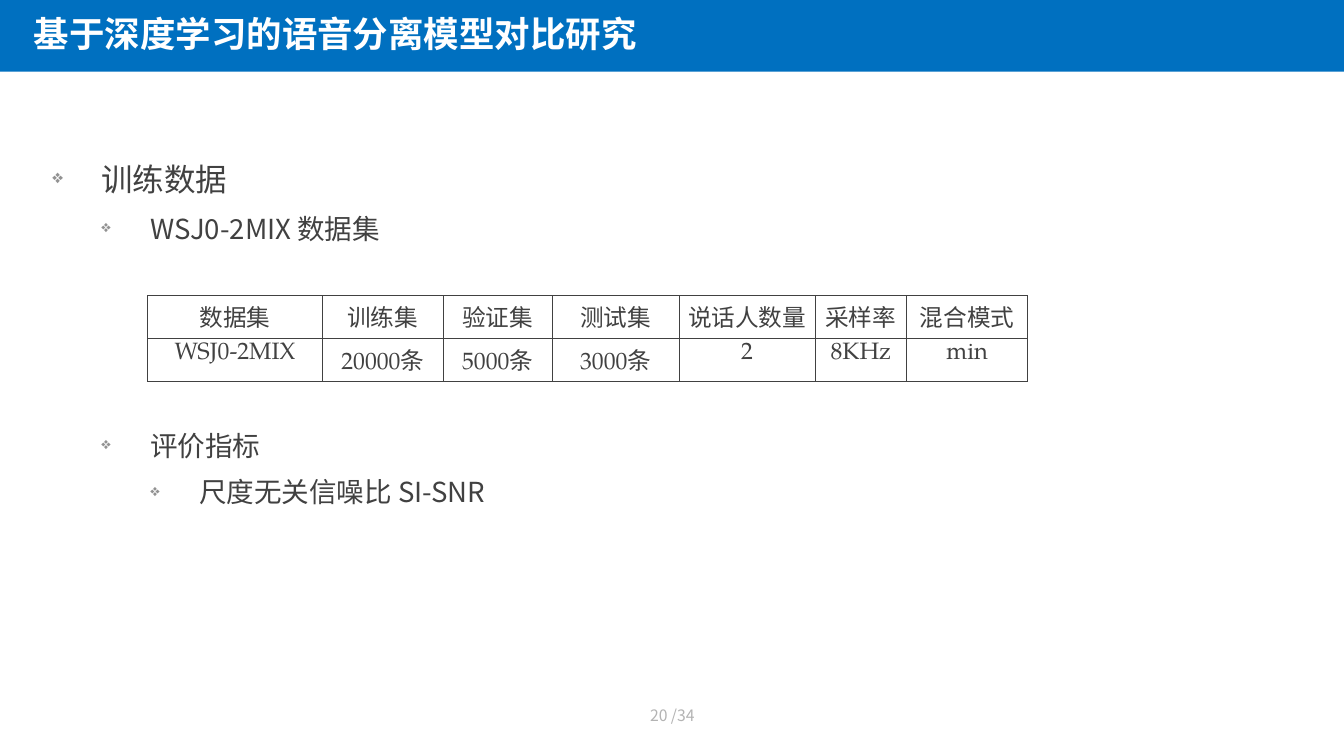
import dataclasses

import pptx
import pptx.dml.color
import pptx.enum.shapes
import pptx.enum.text
import pptx.oxml.ns
import pptx.util
from lxml import etree

TITLE = "基于深度学习的语音分离模型对比研究"
PAGE_NUMBER = "20 /34"
OUTLINES = [
    (2.33, [(0, "训练数据"), (1, "WSJ0-2MIX 数据集")]),
    (6.11, [(1, "评价指标"), (2, "尺度无关信噪比 SI-SNR")]),
]
DATASET_ROWS = [
    ["数据集", "训练集", "验证集", "测试集", "说话人数量", "采样率", "混合模式"],
    ["WSJ0-2MIX", "20000条", "5000条", "3000条", "2", "8KHz", "min"],
]
COLUMN_WIDTHS = [2.47, 1.7, 1.54, 1.79, 1.92, 1.29, 1.71]


@dataclasses.dataclass(frozen=True)
class Theme:
    sans: str = "Noto Sans CJK SC"
    serif: str = "TeX Gyre Pagella"
    banner: str = "0070C0"
    title: str = "FFFFFF"
    body: str = "414141"
    bullet: str = "929292"
    footer: str = "B3B3B3"
    title_size: int = 36
    topic_size: int = 32
    detail_size: int = 28
    table_size: int = 24
    footer_size: int = 16


THEME = Theme()
WIDTH, HEIGHT = 18.96, 10.67
BANNER_HEIGHT = 1.01
BODY_LEFT, BODY_WIDTH = 0.74, 17.13
INDENT = 0.69
TABLE_LEFT, TABLE_TOP, ROW_HEIGHT = 2.08, 4.17, 0.61
Inches = pptx.util.Inches
Pt = pptx.util.Pt


def add_element(parent, tag, **attributes):
    element = etree.SubElement(parent, pptx.oxml.ns.qn(tag))
    for name, value in attributes.items():
        element.set(name, str(value))
    return element


def add_run(paragraph, text, size, color, font=THEME.sans, bold=False):
    run = paragraph.add_run()
    run.text = text
    run.font.size = Pt(size)
    run.font.bold = bold
    run.font.name = font
    run.font.color.rgb = pptx.dml.color.RGBColor.from_string(color)
    add_element(run.font._element, "a:ea", typeface=THEME.sans)


def add_text_frame(slide, left, top, width, height, inset=None):
    box = slide.shapes.add_textbox(*map(Inches, (left, top, width, height)))
    frame = box.text_frame
    frame.word_wrap = True
    if inset is not None:
        frame.margin_left = Inches(inset)
        frame.margin_right = frame.margin_top = frame.margin_bottom = 0
    return frame


def add_banner(slide):
    banner = slide.shapes.add_shape(
        pptx.enum.shapes.MSO_SHAPE.RECTANGLE, 0, 0, Inches(WIDTH), Inches(BANNER_HEIGHT))
    banner.shadow.inherit = False
    banner.fill.solid()
    banner.fill.fore_color.rgb = pptx.dml.color.RGBColor.from_string(THEME.banner)
    banner.line.fill.background()
    frame = add_text_frame(slide, 0, 0.01, WIDTH * 2 / 3, 1, inset=0.48)
    frame.vertical_anchor = pptx.enum.text.MSO_ANCHOR.MIDDLE
    paragraph = frame.paragraphs[0]
    paragraph.line_spacing = 0.9
    add_run(paragraph, TITLE, THEME.title_size, THEME.title, bold=True)


def add_bullet(paragraph, level):
    properties = paragraph._p.get_or_add_pPr()
    properties.set("marL", str(Inches(INDENT * (level + 1))))
    properties.set("indent", str(-Inches(INDENT)))
    color = add_element(properties, "a:buClr")
    add_element(color, "a:srgbClr", val=THEME.bullet)
    add_element(properties, "a:buSzPct", val=60000)
    add_element(properties, "a:buChar", char="❖")


def add_outline(slide, top, items):
    frame = add_text_frame(slide, BODY_LEFT, top, BODY_WIDTH, 1.5, inset=0)
    for index, (level, text) in enumerate(items):
        paragraph = frame.add_paragraph() if index else frame.paragraphs[0]
        add_bullet(paragraph, level)
        paragraph.level = level
        paragraph.line_spacing = 0.88
        if index:
            paragraph.space_before = Pt(18)
        size = THEME.detail_size if level else THEME.topic_size
        add_run(paragraph, text, size, THEME.body)


def add_borders(cell):
    properties = cell._tc.get_or_add_tcPr()
    for side in ("a:lnL", "a:lnR", "a:lnT", "a:lnB"):
        line = add_element(properties, side, w=Pt(1))
        fill = add_element(line, "a:solidFill")
        add_element(fill, "a:srgbClr", val=THEME.body)


def add_dataset_table(slide):
    table = slide.shapes.add_table(
        len(DATASET_ROWS), len(COLUMN_WIDTHS), Inches(TABLE_LEFT), Inches(TABLE_TOP),
        Inches(sum(COLUMN_WIDTHS)), Inches(ROW_HEIGHT * len(DATASET_ROWS))).table
    table.first_row = table.horz_banding = False
    for column, width in zip(table.columns, COLUMN_WIDTHS):
        column.width = Inches(width)
    for row_index, texts in enumerate(DATASET_ROWS):
        table.rows[row_index].height = Inches(ROW_HEIGHT)
        for column_index, text in enumerate(texts):
            cell = table.cell(row_index, column_index)
            add_borders(cell)
            cell.fill.background()
            paragraph = cell.text_frame.paragraphs[0]
            paragraph.alignment = pptx.enum.text.PP_ALIGN.CENTER
            add_run(paragraph, text, THEME.table_size, THEME.body, THEME.serif)


def add_page_number(slide):
    frame = add_text_frame(slide, 7.35, 9.91, 4.27, 0.57)
    paragraph = frame.paragraphs[0]
    paragraph.alignment = pptx.enum.text.PP_ALIGN.CENTER
    add_run(paragraph, PAGE_NUMBER, THEME.footer_size, THEME.footer)


def main():
    presentation = pptx.Presentation()
    presentation.slide_width = Inches(WIDTH)
    presentation.slide_height = Inches(HEIGHT)
    slide = presentation.slides.add_slide(presentation.slide_layouts[6])
    add_banner(slide)
    add_page_number(slide)
    for top, items in OUTLINES:
        add_outline(slide, top, items)
    add_dataset_table(slide)
    presentation.save("out.pptx")


if __name__ == "__main__":
    main()
